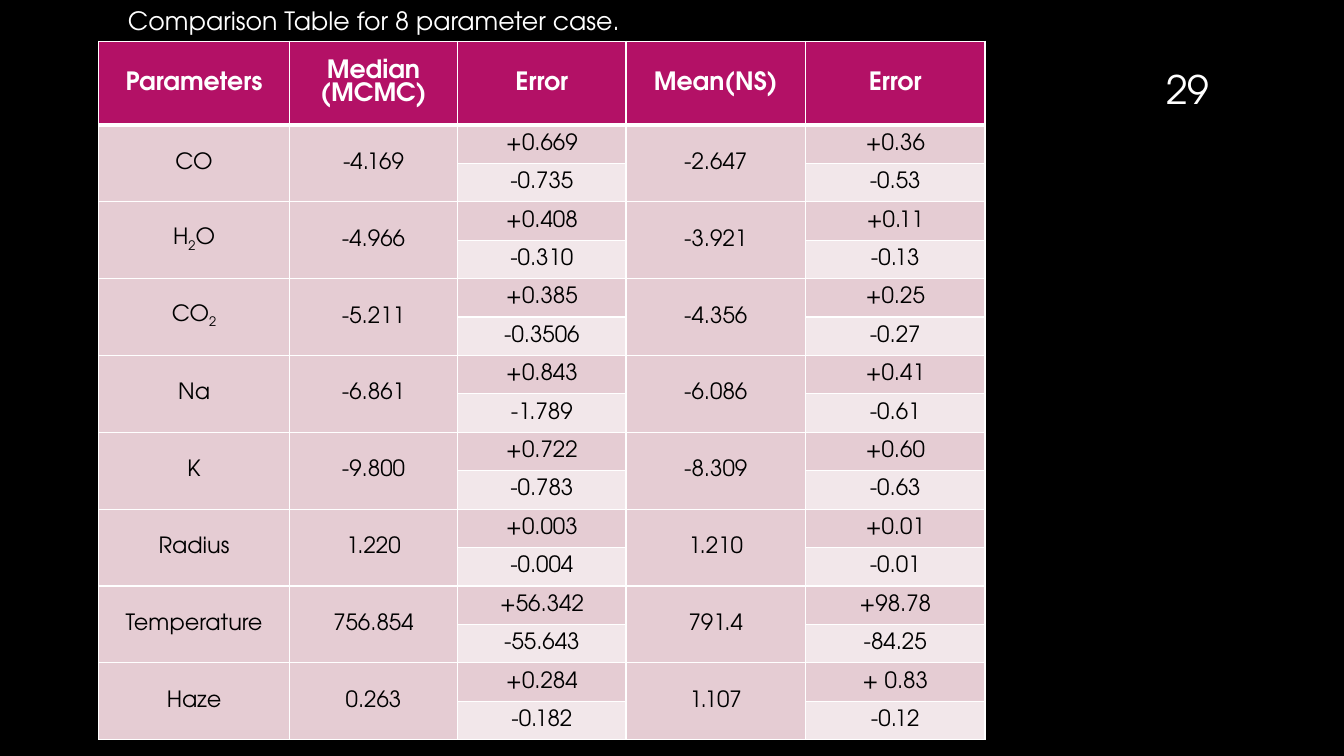
from lxml import etree
from pptx import Presentation
from pptx.dml.color import RGBColor
from pptx.enum.text import MSO_ANCHOR, PP_ALIGN
from pptx.oxml.ns import qn
from pptx.util import Inches, Pt

CENTER = PP_ALIGN.CENTER
LEFT = PP_ALIGN.LEFT
TOP = MSO_ANCHOR.TOP
MIDDLE = MSO_ANCHOR.MIDDLE
BOTTOM = MSO_ANCHOR.BOTTOM

FONT = "TeX Gyre Adventor"
WHITE, BLACK = "FFFFFF", "000000"
MAGENTA, ROSE, PALE_ROSE = "B31166", "E5CCD3", "F2E7EA"

HEADERS = ["Parameters", "Median (MCMC)", "Error", "Mean(NS)", "Error"]
COLUMN_WIDTHS = [1.89, 1.67, 1.67, 1.78, 1.78]
HEADER_HEIGHT = 0.83
SUBSCRIPTS = {"₂": "2"}
RESULTS = [
    ("CO", "-4.169", ("+0.669", "-0.735"), "-2.647", ("+0.36", "-0.53")),
    ("H₂O", "-4.966", ("+0.408", "-0.310"), "-3.921", ("+0.11", "-0.13")),
    ("CO₂", "-5.211", ("+0.385", "-0.3506"), "-4.356", ("+0.25", "-0.27")),
    ("Na", "-6.861", ("+0.843", "-1.789"), "-6.086", ("+0.41", "-0.61")),
    ("K", "-9.800", ("+0.722", "-0.783"), "-8.309", ("+0.60", "-0.63")),
    ("Radius", "1.220", ("+0.003", "-0.004"), "1.210", ("+0.01", "-0.01")),
    ("Temperature", "756.854", ("+56.342", "-55.643"), "791.4", ("+98.78", "-84.25")),
    ("Haze", "0.263", ("+0.284", "-0.182"), "1.107", ("+ 0.83", "-0.12")),
]


def color(value):
    return RGBColor.from_string(value)


def split_subscripts(text):
    pieces = [""]
    for character in text:
        if character in SUBSCRIPTS:
            pieces += [character, ""]
        else:
            pieces[-1] += character
    return [piece for piece in pieces if piece]


def write(paragraph, text, size, text_color, alignment=CENTER, bold=False):
    paragraph.alignment = alignment
    for piece in split_subscripts(text):
        run = paragraph.add_run()
        run.text = SUBSCRIPTS.get(piece, piece)
        run.font.name = FONT
        run.font.size = Pt(size)
        run.font.bold = bold
        run.font.color.rgb = color(text_color)
        if piece in SUBSCRIPTS:
            run._r.get_or_add_rPr().set("baseline", "-25000")


def add_text(slide, box, text, size, alignment, anchor):
    frame = slide.shapes.add_textbox(*map(Inches, box)).text_frame
    frame.word_wrap = True
    frame.vertical_anchor = anchor
    write(frame.paragraphs[0], text, size, WHITE, alignment)


def style_cell(cell, fill, bottom_width=1):
    properties = cell._tc.get_or_add_tcPr()
    widths = {"a:lnL": 1, "a:lnR": 1, "a:lnT": 1, "a:lnB": bottom_width}
    for side, width in widths.items():
        line = etree.SubElement(properties, qn(side), w=str(Pt(width)))
        solid = etree.SubElement(line, qn("a:solidFill"))
        etree.SubElement(solid, qn("a:srgbClr"), val=WHITE)
    cell.fill.solid()
    cell.fill.fore_color.rgb = color(fill)
    cell.vertical_anchor = MIDDLE


def add_comparison_table(slide, box):
    row_count = 1 + 2 * len(RESULTS)
    frame = slide.shapes.add_table(row_count, len(HEADERS), *map(Inches, box))
    table = frame.table
    for column, width in zip(table.columns, COLUMN_WIDTHS):
        column.width = Inches(width)
    body_height = (box[3] - HEADER_HEIGHT) / (row_count - 1)
    for index, row in enumerate(table.rows):
        row.height = Inches(body_height if index else HEADER_HEIGHT)
        fill = MAGENTA if index == 0 else ROSE if index % 2 else PALE_ROSE
        for cell in row.cells:
            style_cell(cell, fill, 1 if index else 3)

    for column, header in enumerate(HEADERS):
        write(table.cell(0, column).text_frame.paragraphs[0], header, 18, WHITE, bold=True)
    for index, result in enumerate(RESULTS):
        top = 1 + 2 * index
        for column, value in enumerate(result):
            if isinstance(value, str):
                table.cell(top, column).merge(table.cell(top + 1, column))
                value = (value,)
            for offset, text in enumerate(value):
                cell = table.cell(top + offset, column)
                write(cell.text_frame.paragraphs[0], text, 16, BLACK)


def build_slide(presentation):
    slide = presentation.slides.add_slide(presentation.slide_layouts[6])
    slide.background.fill.solid()
    slide.background.fill.fore_color.rgb = color(BLACK)
    add_text(slide, (11.32, 0.32, 0.92, 0.84), "29", 28, CENTER, BOTTOM)
    add_comparison_table(slide, (0.98, 0.41, 8.8, 6.93))
    add_text(slide, (1.17, 0, 8.13, 0.4), "Comparison Table for 8 parameter case.", 18, LEFT, TOP)


def main():
    presentation = Presentation()
    presentation.slide_width = Inches(13.33)
    presentation.slide_height = Inches(7.5)
    build_slide(presentation)
    presentation.save("out.pptx")


if __name__ == "__main__":
    main()
